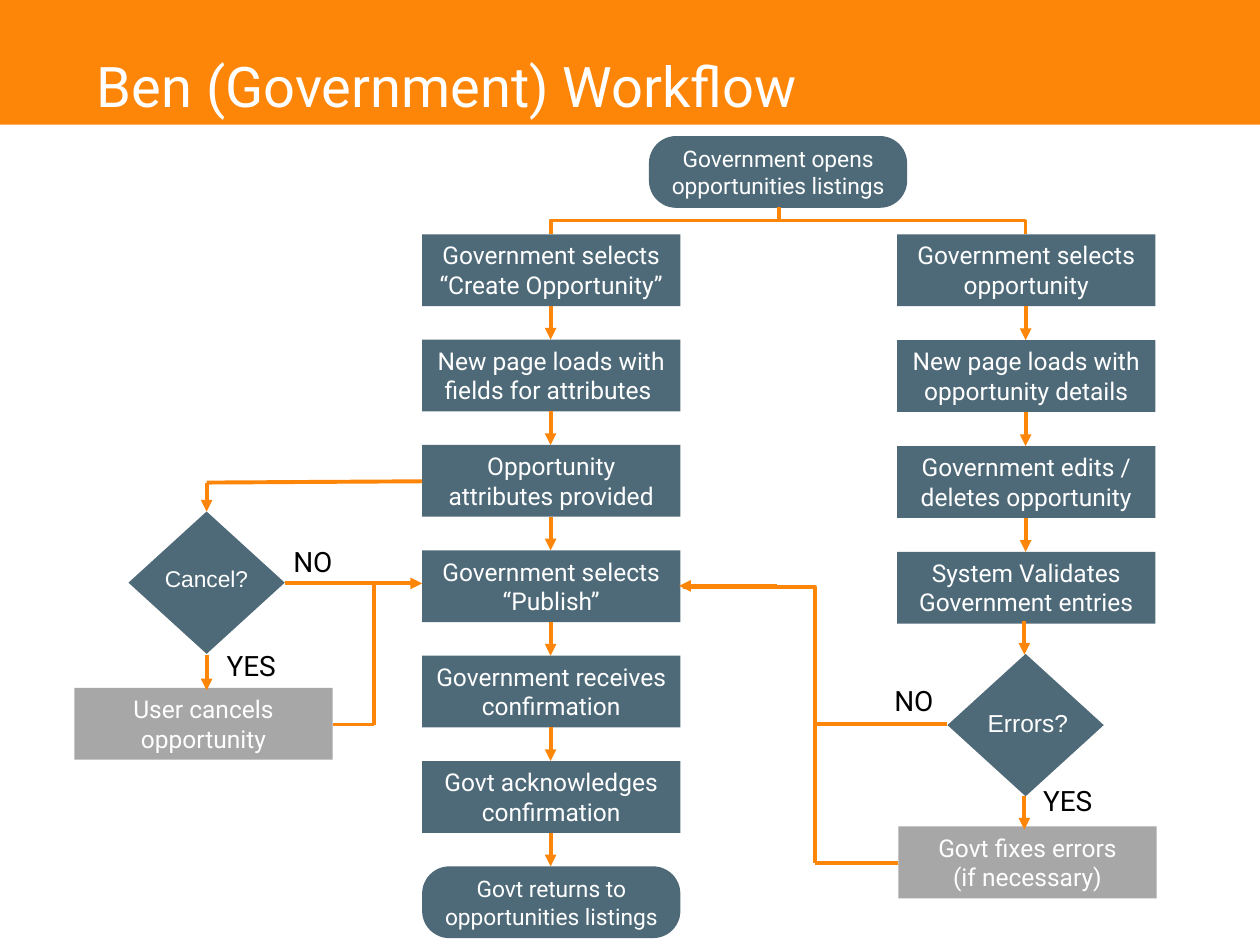
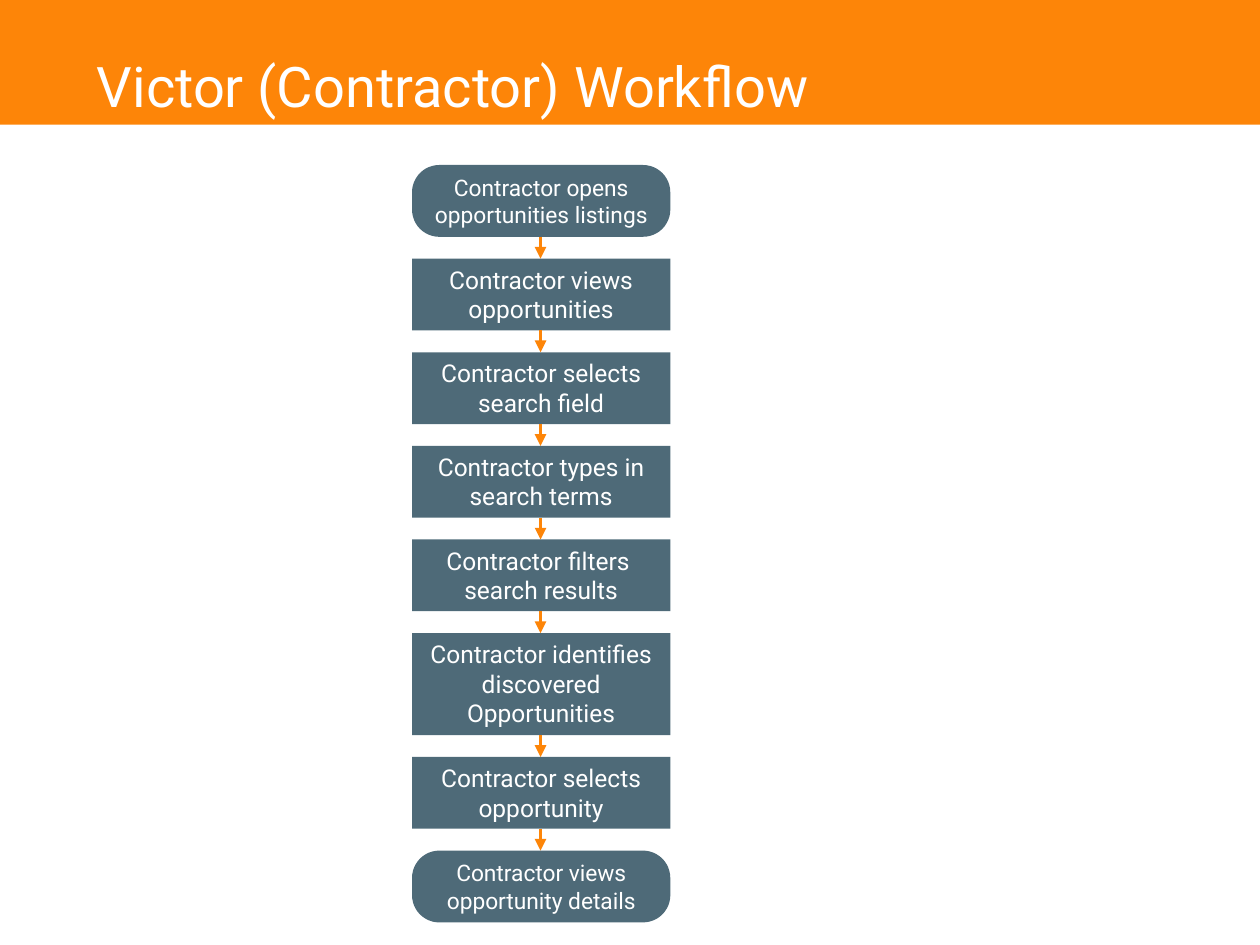
from lxml import etree
from pptx import Presentation
from pptx.dml.color import RGBColor
from pptx.enum.shapes import MSO_CONNECTOR, MSO_SHAPE
from pptx.enum.text import MSO_ANCHOR, MSO_AUTO_SIZE, PP_ALIGN
from pptx.oxml.ns import qn
from pptx.util import Inches, Pt

COLUMNS, ROWS = 100, 75


def color(value):
    return RGBColor.from_string(value)


class Workflow:
    ORANGE, SLATE, GREY = "FD8508", "4E6A78", "A7A7A7"
    WHITE, BLACK = "FFFFFF", "000000"
    FONT = "Roboto"
    BOX_W, BOX_H, ARROW_OFFSET = 20.5, 5.7, 10.2
    DIAMOND_W, DIAMOND_H = 12.4, 11.3

    def __init__(self):
        self.deck = Presentation()
        self.deck.slide_width, self.deck.slide_height = Inches(10), Inches(7.5)

    def at(self, *pairs):
        units = (self.deck.slide_width / COLUMNS, self.deck.slide_height / ROWS)
        return [round(value * units[i % 2]) for i, value in enumerate(pairs)]

    def slide(self, title):
        self.shapes = self.deck.slides.add_slide(self.deck.slide_layouts[6]).shapes
        self.shape(MSO_SHAPE.RECTANGLE, 0, 0, COLUMNS, 9.9, self.ORANGE)
        self.label(6.7, 3.6, 74, 6.4, title, 32, self.WHITE)

    def shape(self, kind, x, y, w, h, fill, parent=None):
        shape = (parent or self.shapes).add_shape(kind, *self.at(x, y, w, h))
        shape.shadow.inherit = False
        shape.fill.solid()
        shape.fill.fore_color.rgb = color(fill)
        shape.line.fill.background()
        return shape

    def set_text(self, shape, text, size, ink, align=PP_ALIGN.LEFT, anchor=MSO_ANCHOR.TOP,
                 font=FONT, grow=True):
        frame = shape.text_frame
        frame.text = text
        frame.word_wrap = True
        frame.vertical_anchor = anchor
        frame.auto_size = MSO_AUTO_SIZE.SHAPE_TO_FIT_TEXT if grow else MSO_AUTO_SIZE.NONE
        for paragraph in frame.paragraphs:
            paragraph.alignment = align
            for run in paragraph.runs:
                run.font.size, run.font.name = Pt(size), font
                run.font.color.rgb = color(ink)

    def label(self, x, y, w, h, text, size=16, ink=BLACK, font=FONT, parent=None):
        box = (parent or self.shapes).add_textbox(*self.at(x, y, w, h))
        self.set_text(box, text, size, ink, font=font)

    def step(self, x, y, text, fill=SLATE, h=BOX_H):
        box = self.shape(MSO_SHAPE.RECTANGLE, x, y, self.BOX_W, h, fill)
        self.set_text(box, text, 14, self.WHITE, PP_ALIGN.CENTER)

    def terminal(self, x, y, text):
        box = self.shape(MSO_SHAPE.ROUNDED_RECTANGLE, x, y, self.BOX_W, self.BOX_H, self.SLATE)
        box.adjustments[0] = 0.38
        self.set_text(box, text, 13, self.WHITE, PP_ALIGN.CENTER, MSO_ANCHOR.MIDDLE, grow=False)

    def decision(self, x, y, text, size, dx, dy):
        group = self.shapes.add_group_shape().shapes
        self.shape(MSO_SHAPE.DIAMOND, x, y, self.DIAMOND_W, self.DIAMOND_H, self.SLATE, group)
        self.label(x + dx, y + dy, 9, 3.3, text, size, self.WHITE, "Arial", group)

    def line(self, x1, y1, x2, y2, arrow=False, kind=MSO_CONNECTOR.STRAIGHT):
        line = self.shapes.add_connector(kind, *self.at(x1, y1, x2, y2))
        line.line.color.rgb = color(self.ORANGE)
        line.line.width = Pt(2.25)
        properties = line.element.spPr
        if arrow:
            etree.SubElement(properties.find(qn("a:ln")), qn("a:tailEnd"), type="triangle")
        etree.SubElement(properties, qn("a:effectLst"))
        return line

    def elbow(self, x1, y1, x2, y2):
        self.line(x1, y1, x2, y2, kind=MSO_CONNECTOR.ELBOW)

    def upright_elbow(self, x1, y1, x2, y2):
        cx, cy = (x1 + x2) / 2, (y1 + y2) / 2
        a, b = (y1 - y2) / 2, (x2 - x1) / 2
        line = self.line(cx + a, cy + b, cx - a, cy - b, kind=MSO_CONNECTOR.ELBOW)
        line.element.spPr.find(qn("a:xfrm")).set("rot", str(90 * 60000))

    def flow(self, x, y, gap, steps, start=None, end=None, tall=None):
        texts = [t for t in (start, *steps, end) if t]
        for text in texts:
            height = 8.1 if text == tall else self.BOX_H
            if text in (start, end):
                self.terminal(x, y, text)
            else:
                self.step(x, y, text, h=height)
            y += height
            if text != texts[-1]:
                middle = x + self.ARROW_OFFSET
                self.line(middle, y, middle, y + gap, arrow=True)
            y += gap


def government(flow):
    flow.slide("Ben (Government) Workflow")
    flow.terminal(51.5, 10.8, "Government opens opportunities listings ")
    flow.flow(33.5, 18.6, 2.66, [
        "Government selects “Create Opportunity”",
        "New page loads with fields for attributes ",
        "Opportunity attributes provided",
        "Government selects “Publish”",
        "Government receives confirmation",
        "Govt acknowledges confirmation",
    ], end="Govt returns to opportunities listings")
    flow.flow(71.2, 18.6, 2.7, [
        "Government selects opportunity",
        "New page loads with opportunity details",
        "Government edits / deletes opportunity",
        "System Validates Government entries",
    ])
    for branch in (43.7, 81.4):
        flow.upright_elbow(branch, 18.6, 61.8, 16.4)

    flow.step(71.3, 65.6, "Govt fixes errors\n(if necessary)", flow.GREY)
    flow.decision(75.2, 51.9, "Errors?", 14, 2.2, 3.8)
    for top in (49.3, 63.2):
        flow.line(81.3, top, 81.3, top + 2.65, arrow=True)
    flow.label(81.8, 61.7, 8.7, 3.7, "YES")
    flow.label(70, 53.8, 8.7, 3.7, "NO")
    flow.elbow(75.2, 57.5, 54.2, 46.6)
    flow.line(61.7, 46.5, 53.9, 46.5, arrow=True)
    flow.line(64.7, 57.4, 64.7, 68.5)
    flow.line(71.3, 68.5, 64.7, 68.5)

    flow.step(5.9, 54.6, "User cancels opportunity", flow.GREY)
    flow.decision(10.2, 40.6, "Cancel?", 13, 1.9, 3.7)
    flow.label(22.3, 42.7, 6.1, 3.7, "NO")
    flow.label(17, 51, 8.7, 3.7, "YES")
    flow.line(33.5, 38.2, 16.4, 38.3)
    flow.line(16.4, 38.3, 16.4, 40.6, arrow=True)
    flow.line(22.6, 46.3, 33.5, 46.3, arrow=True)
    flow.line(16.4, 52, 16.4, 54.8, arrow=True)
    flow.line(29.7, 46.3, 29.7, 57.5)
    flow.line(29.7, 57.5, 26.4, 57.5)


def contractor(flow):
    flow.slide("Victor (Contractor) Workflow")
    identifies = "Contractor identifies discovered Opportunities"
    flow.flow(32.7, 13.1, 1.73, [
        "Contractor views opportunities",
        "Contractor selects search field",
        "Contractor types in search terms",
        "Contractor filters \nsearch results",
        identifies,
        "Contractor selects opportunity",
    ], "Contractor opens opportunities listings ", "Contractor views opportunity details", identifies)


workflow = Workflow()
government(workflow)
contractor(workflow)
workflow.deck.save("out.pptx")
